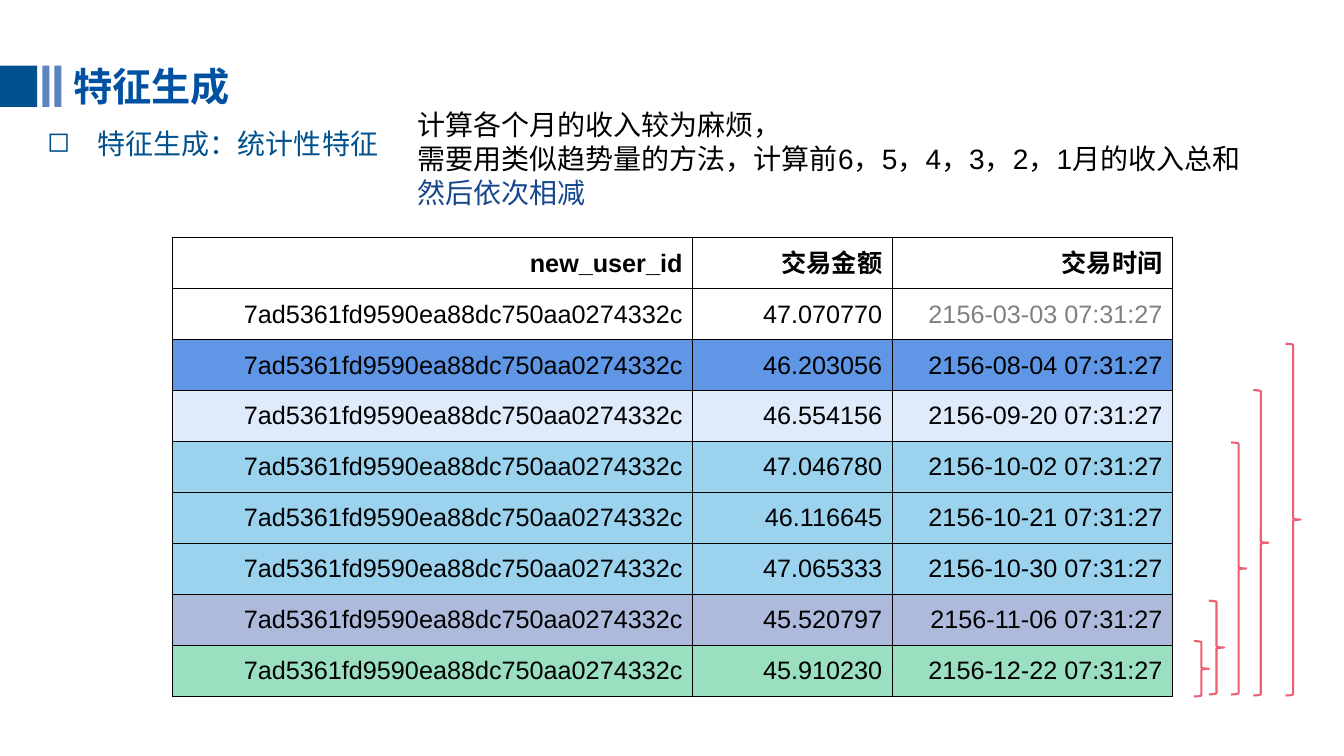
"""Build the feature generation slide with its transaction table and braces."""
from lxml import etree
from pptx import Presentation
from pptx.dml.color import RGBColor
from pptx.enum import shapes, text
from pptx.oxml import ns
from pptx.util import Inches, Pt


def color(hex_value):
    return RGBColor.from_string(hex_value)


def style(paragraph, size, hex_value, bold=False, name="Arial"):
    font = paragraph.font
    font.size, font.bold, font.name = Pt(size), bold, name
    font.color.rgb = color(hex_value)
    for run in paragraph.runs:
        east_asian = etree.SubElement(run._r.get_or_add_rPr(), ns.qn("a:ea"))
        east_asian.set("typeface", name)


presentation = Presentation()
presentation.slide_width, presentation.slide_height = Inches(13.33), Inches(7.5)
slide = presentation.slides.add_slide(presentation.slide_layouts[6])

for left, width, fill in [(0, 0.37, "00518E"), (0.42, 0.07, "5C84C1"), (0.54, 0.07, "5C84C1")]:
    bar = slide.shapes.add_shape(
        shapes.MSO_SHAPE.RECTANGLE, Inches(left), Inches(0.65), Inches(width), Inches(0.41))
    bar.shadow.inherit = False
    bar.fill.solid()
    bar.fill.fore_color.rgb = color(fill)
    bar.line.fill.background()

title = slide.shapes.add_textbox(Inches(0.63), Inches(0.57), Inches(5.46), Inches(0.57))
title.text_frame.word_wrap = True
title.text_frame.text = "特征生成"
style(title.text_frame.paragraphs[0], 28, "0051A1", True, "Noto Sans CJK SC")

subtitle = slide.shapes.add_textbox(Inches(0.37), Inches(1.14), Inches(12.13), Inches(0.47))
subtitle.text_frame.word_wrap = True
subtitle.text_frame.text = "特征生成：统计性特征"
paragraph = subtitle.text_frame.paragraphs[0]
paragraph.line_spacing = 1.2
properties = paragraph._p.get_or_add_pPr()
properties.set("marL", str(Inches(0.5)))
properties.set("indent", str(Inches(-0.5)))
etree.SubElement(properties, ns.qn("a:buChar")).set("char", "◻")
style(paragraph, 20, "00518E")

method = slide.shapes.add_textbox(Inches(4.04), Inches(1.02), Inches(8.71), Inches(1.11))
method.text_frame.word_wrap = True
method.text_frame.text = "计算各个月的收入较为麻烦，\n需要用类似趋势量的方法，计算前6，5，4，3，2，1月的收入总和\n然后依次相减"
for paragraph, hex_value in zip(method.text_frame.paragraphs, ["000000", "000000", "16468D"]):
    style(paragraph, 20, hex_value)

headers = ["new_user_id", "交易金额", "交易时间"]
user_id = "7ad5361fd9590ea88dc750aa0274332c"
transactions = [
    ("47.070770", "2156-03-03", "FFFFFF"),
    ("46.203056", "2156-08-04", "6096E6"),
    ("46.554156", "2156-09-20", "DFEAFA"),
    ("47.046780", "2156-10-02", "9BD3EF"),
    ("46.116645", "2156-10-21", "9BD3EF"),
    ("47.065333", "2156-10-30", "9BD3EF"),
    ("45.520797", "2156-11-06", "AEBADC"),
    ("45.910230", "2156-12-22", "9ADFBF"),
]
rows = [(headers, "FFFFFF")]
rows += [([user_id, amount, f"{date} 07:31:27"], fill) for amount, date, fill in transactions]

table = slide.shapes.add_table(
    len(rows), len(headers), Inches(1.71), Inches(2.36), Inches(9.92), Inches(4.55)).table
for column, width in zip(table.columns, [5.16, 1.98, 2.78]):
    column.width = Inches(width)
for row_index, (values, fill) in enumerate(rows):
    for column_index, value in enumerate(values):
        cell = table.cell(row_index, column_index)
        cell.text = value
        cell.vertical_anchor = text.MSO_ANCHOR.MIDDLE
        paragraph = cell.text_frame.paragraphs[0]
        paragraph.alignment = text.PP_ALIGN.RIGHT
        faded = (row_index, column_index) == (1, 2)
        style(paragraph, 18, "808080" if faded else "000000", row_index == 0)
        cell_properties = cell._tc.get_or_add_tcPr()
        for side in ["lnL", "lnR", "lnT", "lnB"]:
            border = etree.SubElement(cell_properties, ns.qn(f"a:{side}"), w=str(Pt(1)))
            border_fill = etree.SubElement(border, ns.qn("a:solidFill"))
            etree.SubElement(border_fill, ns.qn("a:srgbClr"), val="000000")
        cell.fill.solid()
        cell.fill.fore_color.rgb = color(fill)

braces = [(11.84, 6.36, 0.55), (11.99, 5.96, 0.93), (12.21, 4.39, 2.5),
          (12.43, 3.87, 3.03), (12.75, 3.41, 3.49)]
for left, top, height in braces:
    brace = slide.shapes.add_shape(
        shapes.MSO_SHAPE.RIGHT_BRACE, Inches(left), Inches(top), Inches(0.15), Inches(height))
    brace.shadow.inherit = False
    brace.fill.background()
    brace.line.color.rgb = color("EC5F74")
    brace.line.width = Pt(1.5)

presentation.save("out.pptx")
